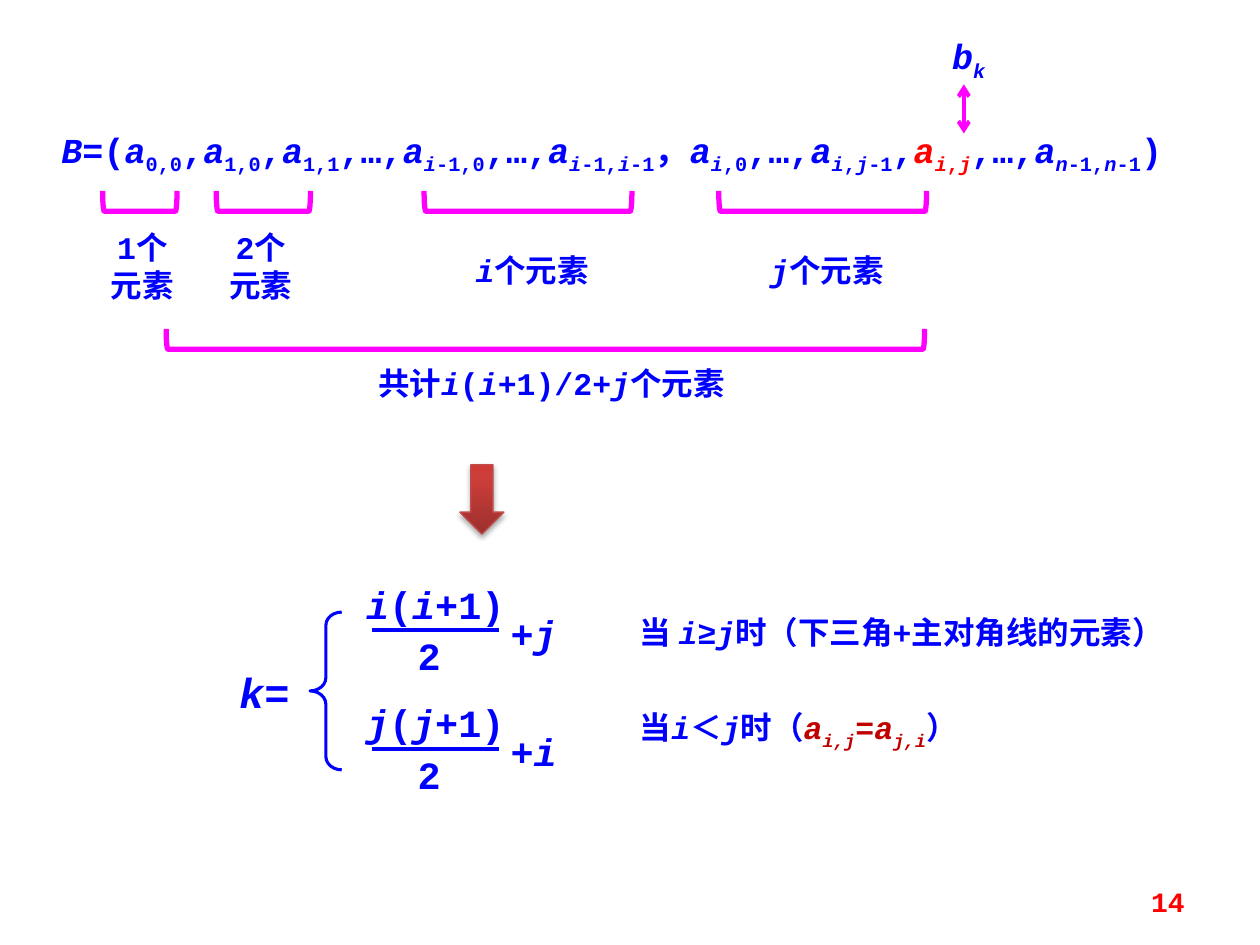
import copy

import pptx
import pptx.dml.color
import pptx.enum.shapes
import pptx.enum.text
import pptx.oxml
import pptx.oxml.ns
import pptx.util
from lxml import etree

Cm = pptx.util.Cm
Pt = pptx.util.Pt
SHAPE = pptx.enum.shapes.MSO_SHAPE
ALIGN = pptx.enum.text.PP_ALIGN
ANCHOR = pptx.enum.text.MSO_ANCHOR
qn = pptx.oxml.ns.qn

FONT = "Courier New"
BLUE, MAGENTA, RED, DARK_RED = "0000FF", "FF00FF", "FF0000", "C00000"


def colour(hex_string):
    return pptx.dml.color.RGBColor.from_string(hex_string)


def split_runs(text):
    """Yield (piece, marks): * toggles italic, ~ subscript, ^ accent colour."""
    marks, piece = set(), ""
    for character in text:
        if character in "*~^":
            if piece:
                yield piece, frozenset(marks)
            marks ^= {character}
            piece = ""
        else:
            piece += character
    if piece:
        yield piece, frozenset(marks)


def add_text(slide, text, left, top, width, height, size=18, color=BLUE,
             accent=RED, align=ALIGN.LEFT, anchor=ANCHOR.TOP, inset=True):
    box = slide.shapes.add_textbox(Cm(left), Cm(top), Cm(width), Cm(height))
    frame = box.text_frame
    frame.word_wrap = True
    frame.vertical_anchor = anchor
    if not inset:
        frame.margin_left = frame.margin_right = 0
        frame.margin_top = frame.margin_bottom = 0
    for index, line in enumerate(text.split("\n")):
        paragraph = frame.add_paragraph() if index else frame.paragraphs[0]
        paragraph.alignment = align
        for piece, marks in split_runs(line):
            run = paragraph.add_run()
            run.text = piece
            run.font.name = FONT
            run.font.size = Pt(size)
            run.font.bold = True
            run.font.italic = "*" in marks
            run.font.color.rgb = colour(accent if "^" in marks else color)
            if "~" in marks:
                run.font._element.set("baseline", "-25000")
    return box


def add_outline(slide, preset, left, top, width, height, color, weight):
    shape = slide.shapes.add_shape(preset, Cm(left), Cm(top), Cm(width), Cm(height))
    shape.shadow.inherit = False
    shape.fill.background()
    shape.line.color.rgb = colour(color)
    shape.line.width = Pt(weight)
    return shape


def add_line(slide, start, end, color, arrows=False):
    line = slide.shapes.add_connector(
        pptx.enum.shapes.MSO_CONNECTOR.STRAIGHT, *map(Cm, start + end))
    line.line.color.rgb = colour(color)
    line.line.width = Pt(2.25)
    properties = line._element.spPr
    if arrows:
        for tag in ("a:headEnd", "a:tailEnd"):
            etree.SubElement(properties.find(qn("a:ln")), qn(tag), type="arrow")
    etree.SubElement(properties, qn("a:effectLst"))


def add_count(slide, left, top, width, text, text_left, text_top, text_width, text_height):
    """Bracket opening upwards, with a label placed relative to it."""
    depth = 0.41
    bracket = add_outline(slide, SHAPE.LEFT_BRACKET, left + (width - depth) / 2,
                          top + (depth - width) / 2, depth, width, MAGENTA, 3)
    bracket.rotation = 270
    add_text(slide, text, left + text_left, top + text_top, text_width, text_height,
             align=ALIGN.CENTER)


def add_series(slide, left, top):
    # Sequence stored in B
    add_text(slide,
             "*B*=(*a*~0,0~,*a*~1,0~,*a*~1,1~,…,*a*~*i*-1,0~,…,*a*~*i*-1,*i*-1~，"
             "*a*~*i*,0~,…,*a*~*i*,*j*-1~,^*a*~*i*,*j*~^,…,*a*~*n*-1,*n*-1~)",
             left, top, 24, 1.12, size=20)
    # Element counts under each part
    for offset, width, text, shift, text_top, text_width, height in (
            (1.08, 1.5, "1个\n元素", -0.29, 0.62, 2.18, 1.8),
            (3.37, 1.9, "2个\n元素", -0.19, 0.62, 2.18, 1.8),
            (7.56, 4.19, "*i*个元素", 0.39, 1.08, 3.58, 1.02),
            (13.5, 4.19, "*j*个元素", 0.39, 1.08, 3.58, 1.02)):
        add_count(slide, left + offset, top + 1.39, width, text,
                  shift, text_top, text_width, height)
    add_count(slide, left + 2.36, top + 4.17, 15.29, "共计*i*(*i*+1)/2+*j*个元素",
              3.79, 0.58, 7.95, 1.02)
    # Matching element b
    add_text(slide, "*b*~*k*~", left + 17.65, top - 1.88, 1.78, 1.12, size=20,
             align=ALIGN.CENTER)
    add_line(slide, (left + 18.44, top - 0.76), (left + 18.44, top + 0.23), MAGENTA, arrows=True)


def add_down_arrow(slide, left, top, width, height):
    arrow = add_outline(slide, SHAPE.DOWN_ARROW, left, top, width, height, "BF4C48", 0.75)
    arrow.fill.gradient()
    arrow.fill.gradient_angle = 90
    stops = arrow.fill.gradient_stops
    first = stops[0]._gs
    first.addnext(copy.deepcopy(first))
    for stop, (position, color) in zip(
            arrow.fill.gradient_stops, ((0, "9C2F2D"), (0.8, "CB3E3A"), (1, "CE3B37"))):
        stop.position = position
        stop.color.rgb = colour(color)
    # Soft shadow below
    effects = arrow._element.spPr.find(qn("a:effectLst"))
    shadow = etree.SubElement(effects, qn("a:outerShdw"), blurRad=str(Pt(3.1)),
                              dist=str(Pt(1.8)), dir="5400000", rotWithShape="0")
    black = etree.SubElement(shadow, qn("a:srgbClr"), val="000000")
    etree.SubElement(black, qn("a:alpha"), val="35000")


def add_fraction(slide, left, top, first, second):
    """Fraction first(first+1)/2 followed by +second."""
    for text, x, y, width in ((f"*{first}*(*{first}*+1)", 0, 0, 2.97),
                              ("2", 0.66, 1.04, 1.4),
                              (f"+*{second}*", 2.77, 0.58, 1.4)):
        add_text(slide, text, left + x, top + y, width, 0.94, size=22,
                 align=ALIGN.CENTER, inset=False)
    add_line(slide, (left + 0.2, top + 0.99), (left + 2.77, top + 0.99), BLUE)


def add_formula(slide, left, top):
    add_text(slide, "*k*=", left, top + 1.6, 1.7, 1.27, size=24)
    brace = add_outline(slide, SHAPE.LEFT_BRACE, left + 1.68, top + 0.63, 0.64, 3.18, BLUE, 1.75)
    brace.adjustments[0] = 0.417
    # The two cases
    add_fraction(slide, left + 2.72, top, "i", "j")
    add_fraction(slide, left + 2.72, top + 2.39, "j", "i")
    # Their conditions
    add_text(slide, "当 *i*≥*j*时（下三角+主对角线的元素）", left + 8.08, top + 0.53, 11.96, 1.02)
    add_text(slide, "当*i*＜*j*时（^*a*~*i,j*~=*a*~*j,i*~^）", left + 8.08, top + 2.44,
             7.54, 1.02, accent=DARK_RED)


def main():
    presentation = pptx.Presentation()
    presentation.slide_width, presentation.slide_height = Cm(25.4), Cm(19.05)
    slide = presentation.slides.add_slide(presentation.slide_layouts[6])
    add_series(slide, 0.99, 2.46)
    add_down_arrow(slide, 9.27, 9.37, 0.89, 1.4)
    add_formula(slide, 4.57, 11.71)
    # Page number
    add_text(slide, "14", 18.21, 17.65, 5.92, 1.02, size=16, color=RED,
             align=ALIGN.RIGHT, anchor=ANCHOR.MIDDLE)
    presentation.save("out.pptx")


if __name__ == "__main__":
    main()
